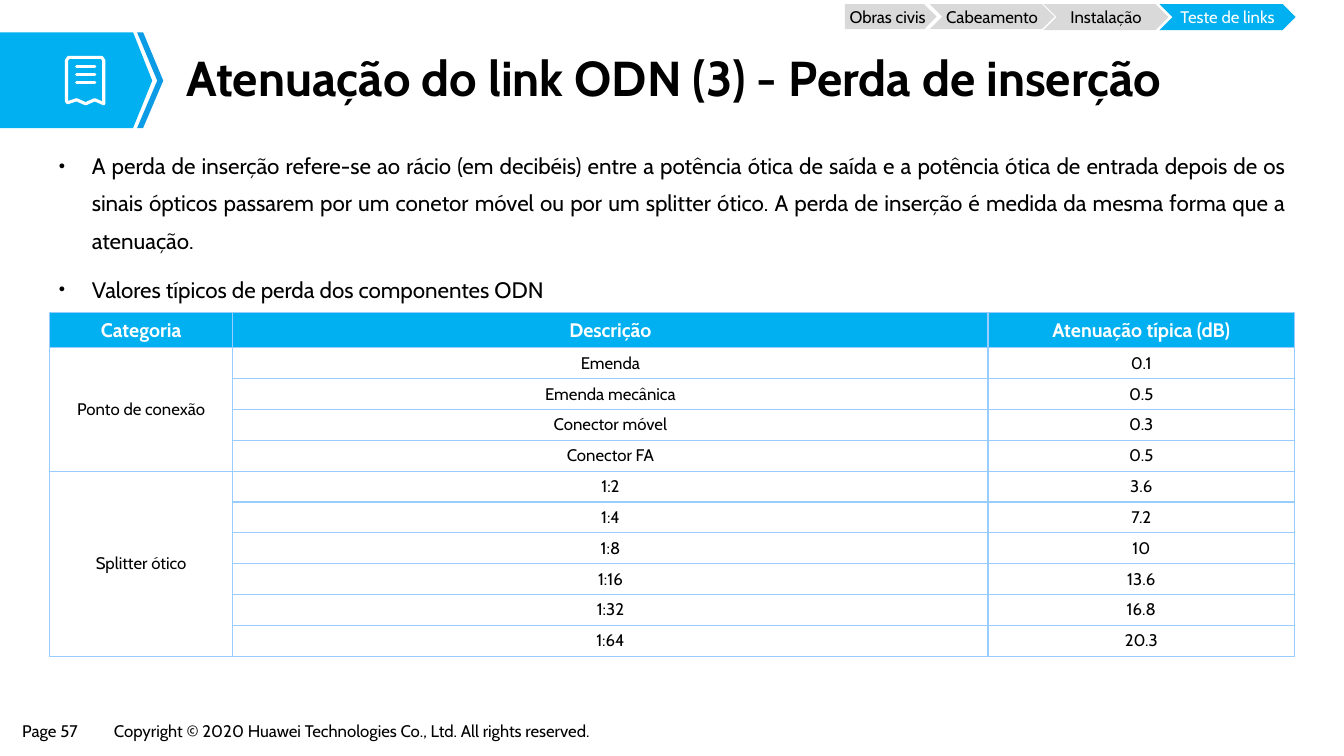
from dataclasses import dataclass

from lxml.etree import SubElement
from pptx import Presentation
from pptx.dml.color import RGBColor
from pptx.enum.shapes import MSO_CONNECTOR, MSO_SHAPE
from pptx.enum.text import MSO_ANCHOR, MSO_AUTO_SIZE, PP_ALIGN
from pptx.oxml.ns import qn
from pptx.util import Inches, Pt

FONT = "Cabin"
BLACK, WHITE, GREY = "000000", "FFFFFF", "D9D9D9"
BLUE, DARK_BLUE, BORDER = "00B0F0", "0B9CE5", "99CCFF"


@dataclass
class Step:
    text: str
    left: float
    width: float
    height: float
    fill: str = GREY
    color: str = BLACK
    shape: MSO_SHAPE = MSO_SHAPE.CHEVRON
    margin: float = 0


@dataclass
class Category:
    name: str
    losses: list[tuple[str, str]]


STEPS = [
    Step("Cabeamento", 9.22, 1.24, 0.25),
    Step("Instalação", 10.35, 1.24, 0.26),
    Step("Teste de links", 11.5, 1.35, 0.26, BLUE, WHITE, margin=0.04),
    Step("Obras civis", 8.38, 0.91, 0.25, shape=MSO_SHAPE.PENTAGON),
]
HEADERS = ["Categoria", "Descrição", "Atenuação típica (dB)"]
CATEGORIES = [
    Category("Ponto de conexão", [("Emenda", "0.1"), ("Emenda mecânica", "0.5"),
                                  ("Conector móvel", "0.3"), ("Conector FA", "0.5")]),
    Category("Splitter ótico", [("1:2", "3.6"), ("1:4", "7.2"), ("1:8", "10"),
                                ("1:16", "13.6"), ("1:32", "16.8"), ("1:64", "20.3")]),
]
BULLETS = [
    "A perda de inserção refere-se ao rácio (em decibéis) entre a potência ótica de saída "
    "e a potência ótica de entrada depois de os sinais ópticos passarem por um conetor móvel "
    "ou por um splitter ótico. A perda de inserção é medida da mesma forma que a atenuação.",
    "Valores típicos de perda dos componentes ODN",
]


def rgb(value: str) -> RGBColor:
    return RGBColor.from_string(value)


def write(p, text: str, *, size: float = 12, color: str = BLACK, bold: bool = False,
          align=PP_ALIGN.LEFT, spacing: float = 1.0, before: float = 0) -> None:
    p.alignment = align
    p.line_spacing = spacing
    p.space_before = Pt(before)
    r = p.add_run()
    r.text = text
    r.font.name = FONT
    r.font.size = Pt(size)
    r.font.bold = bold
    r.font.color.rgb = rgb(color)


def set_frame(tf, x: float, y: float, anchor=MSO_ANCHOR.TOP, wrap: bool = True) -> None:
    tf.auto_size = MSO_AUTO_SIZE.NONE
    tf.word_wrap = wrap
    tf.vertical_anchor = anchor
    tf.margin_left = tf.margin_right = Inches(x)
    tf.margin_top = tf.margin_bottom = Inches(y)


def place(sp, left: float, top: float, width: float, height: float) -> None:
    sp.left, sp.top = Inches(left), Inches(top)
    sp.width, sp.height = Inches(width), Inches(height)


def add_outline(s, points: list[tuple[float, float]]):
    start, *rest = [(Inches(x), Inches(y)) for x, y in points]
    builder = s.shapes.build_freeform(*start)
    builder.add_line_segments(rest, close=True)
    sp = builder.convert_to_shape()
    sp.shadow.inherit = False
    return sp


def add_filled(s, points: list[tuple[float, float]], color: str) -> None:
    sp = add_outline(s, points)
    sp.fill.solid()
    sp.fill.fore_color.rgb = rgb(color)
    sp.line.fill.background()


def style_line(line) -> None:
    line.color.rgb = rgb(WHITE)
    line.width = Pt(2.25)
    ln = line._get_or_add_ln()
    ln.set("cap", "rnd")
    SubElement(ln, qn("a:round"))


def add_banner(s) -> None:
    top, middle, bottom = 0.32, 0.8, 1.27
    add_filled(s, [(0, top), (1.32, top), (1.51, middle), (1.32, bottom), (0, bottom)], BLUE)
    add_filled(s, [(1.36, top), (1.42, top), (1.62, middle), (1.42, bottom),
                   (1.36, bottom), (1.56, middle)], DARK_BLUE)


def add_receipt_icon(s) -> None:
    zigzag = [(1.03 - 0.09 * i, 0.99 if i % 2 else 1.03) for i in range(5)]
    sp = add_outline(s, [(0.68, 0.57), (1.01, 0.57), (1.03, 0.6), *zigzag[:-1],
                         (0.67, 1.02), (0.66, 1), (0.66, 0.6)])
    sp.fill.background()
    style_line(sp.line)
    for i in range(3):
        y = Inches(0.66 + 0.08 * i)
        sp = s.shapes.add_connector(MSO_CONNECTOR.STRAIGHT, Inches(0.76), y, Inches(0.94), y)
        style_line(sp.line)
        SubElement(sp._element.spPr, qn("a:effectLst"))


def add_footer(s, text: str, left: float, width: float) -> None:
    sp = s.shapes.add_textbox(Inches(left), Inches(7.11), Inches(width), Inches(0.29))
    set_frame(sp.text_frame, 0.09, 0.04, wrap=False)
    write(sp.text_frame.paragraphs[0], text)


def add_title(s, text: str) -> None:
    sp = s.shapes.title
    place(sp, 1.74, 0.45, 10.75, 0.7)
    set_frame(sp.text_frame, 0.11, 0.06, MSO_ANCHOR.MIDDLE)
    write(sp.text_frame.paragraphs[0], text, size=35, bold=True, spacing=0.9)


def add_bullets(s) -> None:
    sp = s.placeholders[1]
    place(sp, 0.49, 1.36, 12.36, 5.12)
    tf = sp.text_frame
    set_frame(tf, 0.09, 0.04)
    for i, text in enumerate(BULLETS):
        p = tf.add_paragraph() if i else tf.paragraphs[0]
        pPr = p._p.get_or_add_pPr()
        pPr.set("marL", str(Inches(0.33)))
        pPr.set("indent", str(-Inches(0.33)))
        SubElement(pPr, qn("a:buSzPct"), val="50000")
        SubElement(pPr, qn("a:buChar"), char="●")
        write(p, text, size=16, align=PP_ALIGN.JUSTIFY, spacing=1.4, before=7.9 if i else 0)


def add_borders(cell) -> None:
    tcPr = cell._tc.get_or_add_tcPr()
    for i, side in enumerate(("lnL", "lnR", "lnT", "lnB")):
        ln = tcPr.makeelement(qn(f"a:{side}"), {"w": str(Pt(1))})
        fill = SubElement(ln, qn("a:solidFill"))
        SubElement(fill, qn("a:srgbClr"), val=BORDER)
        tcPr.insert(i, ln)


def fill_cell(cell, text: str, header: bool) -> None:
    cell.vertical_anchor = MSO_ANCHOR.MIDDLE
    if header:
        cell.fill.solid()
        cell.fill.fore_color.rgb = rgb(BLUE)
    else:
        cell.fill.background()
    add_borders(cell)
    write(cell.text_frame.paragraphs[0], text, size=14 if header else 12,
          color=WHITE if header else BLACK, bold=header, align=PP_ALIGN.CENTER)


def add_loss_table(s) -> None:
    rows = [HEADERS] + [[c.name if i == 0 else "", *loss]
                        for c in CATEGORIES for i, loss in enumerate(c.losses)]
    header_height, height = 0.35, 3.41
    table = s.shapes.add_table(len(rows), len(HEADERS), Inches(0.49), Inches(3.1),
                               Inches(12.35), Inches(height)).table
    for col, width in zip(table.columns, (1.82, 7.49, 3.04)):
        col.width = Inches(width)
    for i, values in enumerate(rows):
        row_height = (height - header_height) / (len(rows) - 1) if i else header_height
        table.rows[i].height = Inches(row_height)
        for j, text in enumerate(values):
            fill_cell(table.cell(i, j), text, i == 0)
    first = 1
    for c in CATEGORIES:
        last = first + len(c.losses) - 1
        table.cell(first, 0).merge(table.cell(last, 0))
        first = last + 1


def add_step(s, step: Step) -> None:
    sp = s.shapes.add_shape(step.shape, Inches(step.left), Inches(0.04),
                            Inches(step.width), Inches(step.height))
    sp.shadow.inherit = False
    sp.fill.solid()
    sp.fill.fore_color.rgb = rgb(step.fill)
    sp.line.fill.background()
    set_frame(sp.text_frame, step.margin, 0, MSO_ANCHOR.MIDDLE)
    write(sp.text_frame.paragraphs[0], step.text, color=step.color, align=PP_ALIGN.CENTER)


def main() -> None:
    prs = Presentation()
    prs.slide_width, prs.slide_height = Inches(13.33), Inches(7.5)
    s = prs.slides.add_slide(prs.slide_layouts[1])
    add_footer(s, "Page 57", 0.13, 0.81)
    add_footer(s, "Copyright © 2020 Huawei Technologies Co., Ltd. All rights reserved.", 1.04, 5.41)
    add_banner(s)
    add_receipt_icon(s)
    add_bullets(s)
    add_title(s, "Atenuação do link ODN (3) - Perda de inserção")
    add_loss_table(s)
    for step in STEPS:
        add_step(s, step)
    prs.save("out.pptx")


if __name__ == "__main__":
    main()
